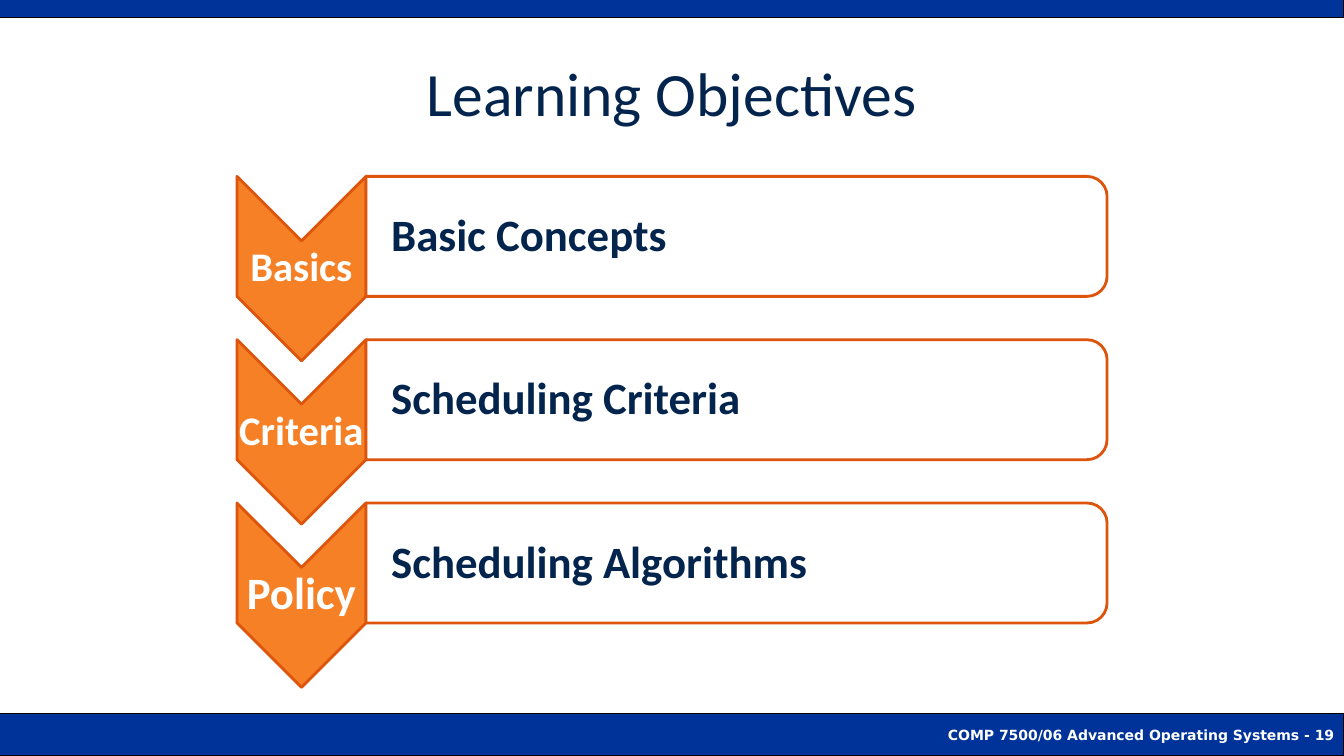
from lxml import etree
from pptx import Presentation
from pptx.dml.color import RGBColor
from pptx.enum.shapes import MSO_SHAPE
from pptx.enum.text import MSO_ANCHOR, PP_ALIGN
from pptx.oxml.ns import qn
from pptx.util import Inches, Pt

RECT = MSO_SHAPE.RECTANGLE
CHEVRON = MSO_SHAPE.CHEVRON
ROUND = MSO_SHAPE.ROUND_2_SAME_RECTANGLE
MIDDLE = MSO_ANCHOR.MIDDLE
LEFT, CENTER, RIGHT = PP_ALIGN.LEFT, PP_ALIGN.CENTER, PP_ALIGN.RIGHT

TITLE = "Learning Objectives"
FOOTER = "COMP 7500/06 Advanced Operating Systems - 19"
GOALS = [
    ("Basics", 29, "Basic Concepts"),
    ("Criteria", 29, "Scheduling Criteria"),
    ("Policy", 32, "Scheduling Algorithms"),
]
NAVY, BLUE, ORANGE, RUST = "03244D", "003399", "F68026", "DD550C"
WHITE, BLACK = "FFFFFF", "000000"
WIDE, HIGH = 13.33, 7.5
TOP, STEP = 1.75, 1.62
TIP_X, TIP_W, TIP_H = 2.35, 1.28, 1.83
BAR_W, BAR_H = 7.35, 1.19


def color(code):
    return RGBColor.from_string(code)


def write(shape, text, size, code, align, font="Calibri", bold=True):
    frame = shape.text_frame
    frame.vertical_anchor = MIDDLE
    para = frame.paragraphs[0]
    para.alignment = align
    run = para.add_run()
    run.text = text
    run.font.name = font
    run.font.size = Pt(size)
    run.font.bold = bold
    run.font.color.rgb = color(code)
    return para


def draw(kind, x, y, w, h, fill, line, weight):
    shape = slide.shapes.add_shape(kind, Inches(x), Inches(y), Inches(w), Inches(h))
    shape.shadow.inherit = False
    shape.fill.solid()
    shape.fill.fore_color.rgb = color(fill)
    shape.line.color.rgb = color(line)
    shape.line.width = Pt(weight)
    return shape


def turn(kind, x, y, w, h, fill):
    left = x + (w - h) / 2
    top = y + (h - w) / 2
    shape = draw(kind, left, top, h, w, fill, RUST, 2)
    shape.rotation = 90
    return shape


def label(x, y, w, h, text, size, code, align, inset, wrap):
    box = slide.shapes.add_textbox(Inches(x), Inches(y), Inches(w), Inches(h))
    frame = box.text_frame
    frame.word_wrap = wrap
    frame.margin_left = Inches(inset)
    frame.margin_right = frame.margin_top = frame.margin_bottom = Inches(0.02)
    write(box, text, size, code, align).line_spacing = 0.9


deck = Presentation()
deck.slide_width, deck.slide_height = Inches(WIDE), Inches(HIGH)
slide = deck.slides.add_slide(deck.slide_layouts[5])

foot = draw(RECT, 0, 7.08, WIDE, 0.42, BLUE, BLACK, 0.75)
write(foot, FOOTER, 10, WHITE, RIGHT, "DejaVu Sans")
draw(RECT, 0, 0, WIDE, 0.17, BLUE, BLACK, 0.75)

title = slide.shapes.title
title.left, title.top = Inches(0.33), Inches(0.33)
title.width, title.height = Inches(12.67), Inches(1.17)
write(title, TITLE, 44, NAVY, CENTER, bold=False)

bar_x = TIP_X + TIP_W
for i, (tip, size, goal) in enumerate(GOALS):
    y = TOP + i * STEP
    turn(CHEVRON, TIP_X, y, TIP_W, TIP_H, ORANGE)
    label(TIP_X, y + 0.64, TIP_W, 0.55, tip, size, WHITE, CENTER, 0.02, False)
    bar = turn(ROUND, bar_x, y, BAR_W, BAR_H, WHITE)
    tone = bar.fill._xPr.find(qn("a:solidFill"))[0]
    etree.SubElement(tone, qn("a:alpha")).set("val", "90000")
    label(bar_x, y + 0.06, 7.29, 1.08, goal, 32, NAVY, LEFT, 0.25, True)

deck.save("out.pptx")
